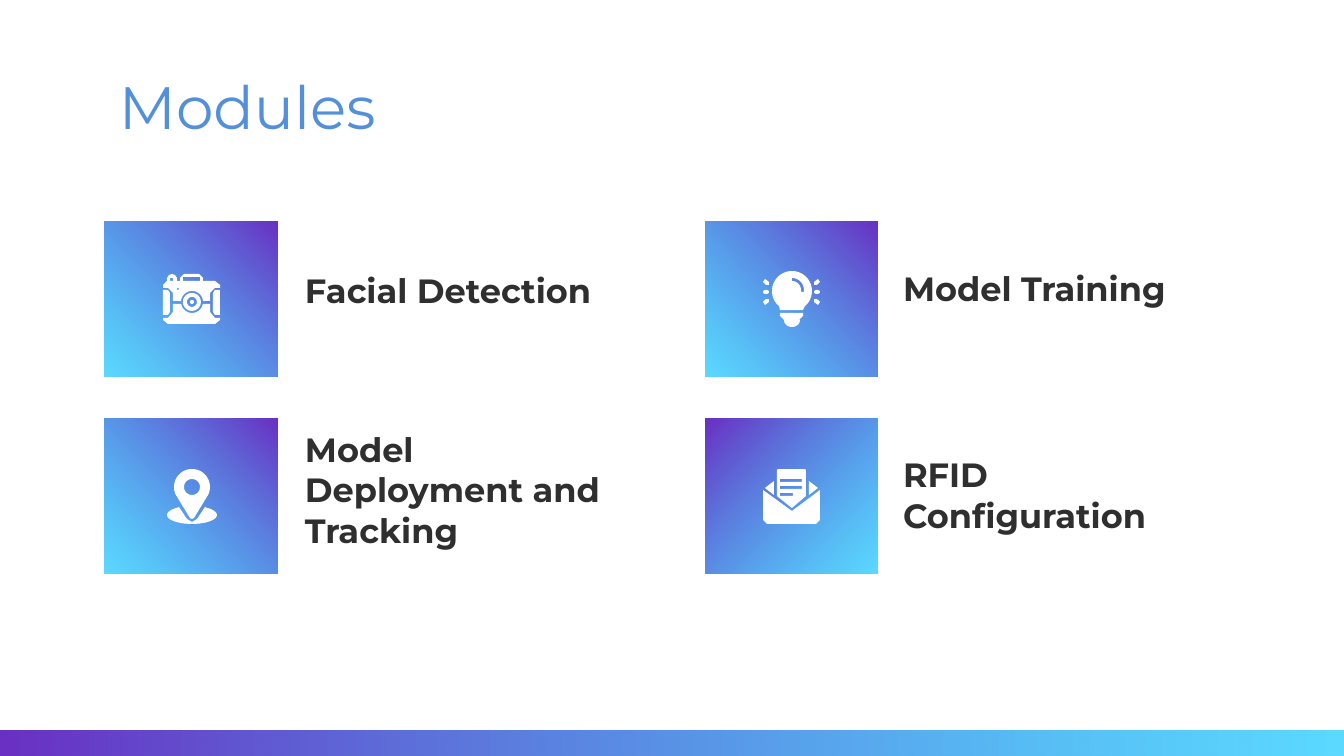
from dataclasses import dataclass
from math import cos, radians, sin

from lxml.etree import SubElement
from pptx import Presentation
from pptx.dml.color import RGBColor
from pptx.enum.shapes import MSO_SHAPE
from pptx.enum.text import MSO_ANCHOR, PP_ALIGN
from pptx.oxml.ns import qn
from pptx.util import Pt

EMU_PER_PX = 914400 / 134.4
TILE_W, TILE_H = 173, 155


def px(n):
    return round(n * EMU_PER_PX)


@dataclass(frozen=True)
class Theme:
    font: str = "Montserrat"
    title: str = "5390D9"
    text: str = "2F2F2F"
    icon: str = "FFFFFF"
    grad_from: str = "6930C3"
    grad_to: str = "00C4FF"
    grad_to_alpha: int = 64
    title_size: int = 32
    label_size: int = 18


def arc(cx, cy, rx, ry, start=0, end=360, steps=32):
    angles = [radians(start + (end - start) * i / steps) for i in range(steps + 1)]
    return [(cx + rx * cos(a), cy + ry * sin(a)) for a in angles]


def circle(cx, cy, r):
    return arc(cx, cy, r, r)


def box(x, y, w, h):
    return [(x, y), (x + w, y), (x + w, y + h), (x, y + h)]


def mirror(points):
    return [(TILE_W - x, y) for x, y in points]


def pair(points):
    return [[points], [mirror(points)]]


def camera():
    lens_top = arc(87, 80, 11, 11, 355, 185)
    lens_bottom = arc(87, 80, 11, 11, 10, 170)
    top = [(58, 66), (58, 63), (62, 59), (62, 56), (64, 53), (67, 52), (70, 53),
           (72, 56), (72, 59), (75, 59), (75, 56), (79, 52), (94, 52), (98, 56),
           (98, 59), (110, 59), (115, 63), (115, 66), (110, 66), (105, 71),
           (105, 79), *lens_top, (68, 79), (68, 71), (63, 66)]
    bottom = [(68, 82), *reversed(lens_bottom), (105, 82), (105, 90), (110, 96),
              (115, 96), (115, 98), (110, 102), (63, 102), (58, 98), (58, 96),
              (63, 96), (68, 90)]
    grip = [(58, 68), (63, 68), (65, 71), (65, 90), (63, 93), (58, 93)]
    return [[top, box(65, 56, 3, 3), box(78, 55, 17, 4), circle(73, 67, 1)],
            [bottom], *pair(grip),
            [circle(87, 80, 9), circle(87, 80, 5)], [circle(87, 80, 2)]]


def bulb():
    glass = [*arc(87, 69, 20, 20, 130, 410), (98, 88), (75, 88)]
    shine = [*arc(87, 68, 12, 12, 270, 370), *arc(87, 68, 9, 9, 370, 270)]
    base = [(75, 91), (98, 91), (98, 94), (94, 98), *arc(87, 98, 8, 7, 0, 180),
            (79, 98), (75, 94)]
    rays = [[(60, 57), (64, 60), (64, 63), (61, 63), (58, 60)],
            arc(61, 70, 3, 2),
            [(60, 83), (58, 80), (61, 77), (64, 77), (64, 80)]]
    return [[glass, shine], [base], *[part for ray in rays for part in pair(ray)]]


def pin():
    marker = [*arc(87, 68, 18, 18, 155, 385), (89, 99), (87, 100), (85, 99)]
    ground = [(74, 88), (82, 100), (87, 103), (92, 100), (100, 88),
              *arc(87, 96, 25, 9, -55, 235)]
    return [[marker, circle(87, 68, 8)], [ground]]


def letter():
    envelope = [(58, 71), (87, 92), (115, 71), (115, 101), (111, 105),
                (62, 105), (58, 101)]
    sheet = [(72, 51), (73, 50), (100, 50), (101, 51), (101, 77), (87, 89), (72, 77)]
    lines = [box(75, 60 + 7 * i, w, 3) for i, w in enumerate((22, 22, 13))]
    return [[envelope], *pair([(69, 62), (69, 76), (60, 69)]), [sheet, *lines]]


class SlideMaker:
    def __init__(self, slide, theme):
        self.s = slide
        self.theme = theme

    def text(self, x, y, w, h, content, size, color, bold=False, anchor=MSO_ANCHOR.MIDDLE):
        tf = self.s.shapes.add_textbox(px(x), px(y), px(w), px(h)).text_frame
        tf.word_wrap = True
        tf.vertical_anchor = anchor
        tf.margin_left = tf.margin_right = tf.margin_top = tf.margin_bottom = px(13)
        p = tf.paragraphs[0]
        p.alignment = PP_ALIGN.LEFT
        r = p.add_run()
        r.text = content
        r.font.name = self.theme.font
        r.font.size = Pt(size)
        r.font.bold = bold
        r.font.color.rgb = RGBColor.from_string(color)

    def gradient_box(self, x, y, w, h, focus=None):
        sp = self.s.shapes.add_shape(MSO_SHAPE.RECTANGLE, px(x), px(y), px(w), px(h))
        sp.shadow.inherit = False
        sp.line.fill.background()
        sp.fill.gradient()
        sp.fill.gradient_angle = 0
        first, last = sp.fill.gradient_stops
        first.color.rgb = RGBColor.from_string(self.theme.grad_from)
        last.color.rgb = RGBColor.from_string(self.theme.grad_to)
        grad = sp._element.spPr.find(qn("a:gradFill"))
        end_color = grad.findall(".//" + qn("a:srgbClr"))[-1]
        SubElement(end_color, qn("a:alpha"), val=str(self.theme.grad_to_alpha * 1000))
        if focus:
            grad.remove(grad.find(qn("a:lin")))
            route = SubElement(grad, qn("a:path"), {"path": "circle"})
            left, right = ("100000", "0") if focus == "right" else ("0", "100000")
            SubElement(route, qn("a:fillToRect"), l=left, t="0", r=right, b="100000")

    def outline(self, x, y, contours):
        placed = [[(px(x + a), px(y + b)) for a, b in c] for c in contours]
        builder = self.s.shapes.build_freeform(*placed[0][0])
        builder.add_line_segments(placed[0][1:], close=True)
        for contour in placed[1:]:
            builder.move_to(*contour[0])
            builder.add_line_segments(contour[1:], close=True)
        sp = builder.convert_to_shape()
        sp.shadow.inherit = False
        sp.line.fill.background()
        sp.fill.solid()
        sp.fill.fore_color.rgb = RGBColor.from_string(self.theme.icon)

    def module(self, x, y, label, label_x, label_y, icon, focus):
        self.gradient_box(x, y, TILE_W, TILE_H, focus)
        for part in icon:
            self.outline(x, y, part)
        self.text(label_x, label_y, 348, 55, label,
                  self.theme.label_size, self.theme.text, bold=True)


def main():
    prs = Presentation()
    prs.slide_width, prs.slide_height = px(1344), px(756)
    theme = Theme()
    maker = SlideMaker(prs.slides.add_slide(prs.slide_layouts[6]), theme)
    maker.gradient_box(0, 731, 1344, 25)
    maker.text(106, 57, 1133, 90, "Modules", theme.title_size, theme.title,
               anchor=MSO_ANCHOR.TOP)
    left, right = (105, 292), (705, 890)
    top, bottom = 222, 419
    modules = [
        (left, top, "Facial Detection", 263, camera(), "right"),
        (right, top, "Model Training", 261, bulb(), "right"),
        (left, bottom, "Model Deployment and Tracking", 462, pin(), "right"),
        (right, bottom, "RFID Configuration", 467, letter(), "left"),
    ]
    for (x, label_x), y, label, label_y, icon, focus in modules:
        maker.module(x, y, label, label_x, label_y, icon, focus)
    prs.save("out.pptx")


if __name__ == "__main__":
    main()
